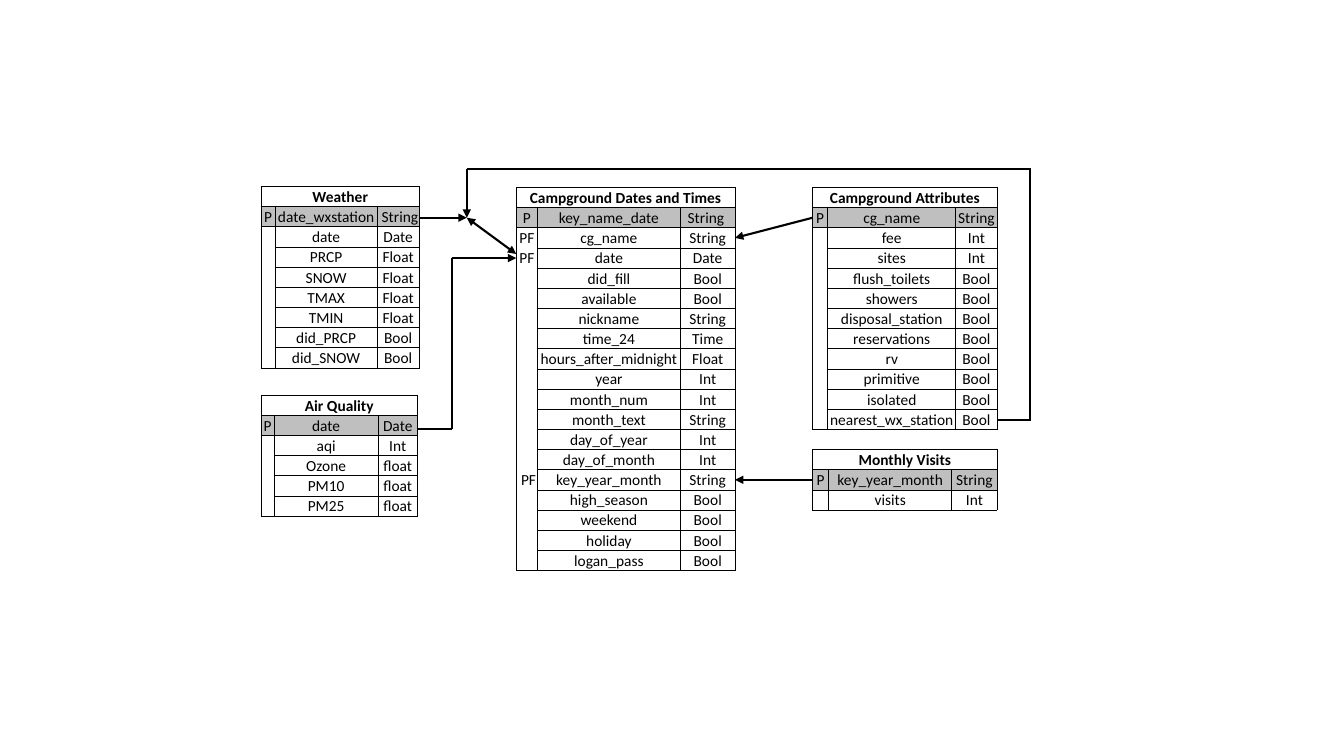
"""Build a slide with the table diagram of a campground database."""
from lxml.etree import SubElement
from pptx import Presentation
from pptx.dml.color import RGBColor
from pptx.enum.shapes import MSO_CONNECTOR
from pptx.enum.text import MSO_ANCHOR, PP_ALIGN
from pptx.oxml.ns import qn
from pptx.util import Emu, Pt

PX = 9144
ROW_HEIGHT = 20
FONT_SIZE = 11
BLACK = RGBColor(0x00, 0x00, 0x00)
GRAY = RGBColor(0xBF, 0xBF, 0xBF)
NO_STYLE = "{2D5ABB26-0587-4C30-8999-92F81FD0307C}"

KEY_LINKS = [
    (806, 476, 729, 476, ["tailEnd"]),
    (806, 216, 729, 236, ["tailEnd"]),
]
STATION_AND_DATE_LINKS = [
    (414, 426, 448, 426, []),
    (448, 426, 448, 256, []),
    (448, 256, 512, 256, ["tailEnd"]),
    (989, 417, 1023, 417, []),
    (1022, 416, 1022, 168, []),
    (463, 168, 1023, 168, []),
    (416, 216, 463, 216, ["tailEnd"]),
    (463, 168, 463, 216, ["tailEnd"]),
    (463, 216, 512, 252, ["headEnd", "tailEnd"]),
]

ENTITIES = [
    ("Monthly Visits", 806, 446, (16, 122, 45), MSO_ANCHOR.BOTTOM, {1: "P"}, [
        ("key_year_month", "String"), ("visits", "Int"),
    ]),
    ("Campground Dates and Times", 512, 186, (21, 142, 54), MSO_ANCHOR.MIDDLE,
     {1: "P", 2: "PF", 3: "PF", 14: " PF"}, [
        ("key_name_date", "String "), ("cg_name", "String"), ("date", "Date"),
        ("did_fill", "Bool"), ("available", "Bool"), ("nickname", "String"),
        ("time_24", "Time"), ("hours_after_midnight", "Float"), ("year", "Int"),
        ("month_num", "Int"), ("month_text", "String"), ("day_of_year", "Int"),
        ("day_of_month", "Int"), ("key_year_month", "String"),
        ("high_season", "Bool"), ("weekend", "Bool"), ("holiday", "Bool"),
        ("logan_pass", "Bool"),
    ]),
    ("Weather", 259, 185, (14, 101, 42), MSO_ANCHOR.BOTTOM, {1: "P"}, [
        ("date_wxstation", " String"), ("date", "Date"), ("PRCP", "Float"),
        ("SNOW", "Float"), ("TMAX", "Float"), ("TMIN", "Float"),
        ("did_PRCP", "Bool"), ("did_SNOW", "Bool"),
    ]),
    ("Air Quality", 259, 392, (13, 103, 39), MSO_ANCHOR.BOTTOM, {1: "P"}, [
        ("date", "Date"), ("aqi", "Int"), ("Ozone", "float"),
        ("PM10", "float"), ("PM25", "float"),
    ]),
    ("Campground Attributes", 806, 186, (15, 127, 41), MSO_ANCHOR.BOTTOM, {1: "P"}, [
        ("cg_name", "String"), ("fee", "Int"), ("sites", "Int"),
        ("flush_toilets", "Bool"), ("showers", "Bool"),
        ("disposal_station", "Bool"), ("reservations", "Bool"), ("rv", "Bool"),
        ("primitive", "Bool"), ("isolated", "Bool"), ("nearest_wx_station", "Bool"),
    ]),
]


def write_cell(text, *, cell, bold=False, fill=None, anchor=MSO_ANCHOR.BOTTOM, sides="LRTB"):
    """Write and format one cell, with borders on the given sides."""
    cell.margin_left = cell.margin_right = cell.margin_top = cell.margin_bottom = 0
    cell.vertical_anchor = anchor
    paragraph = cell.text_frame.paragraphs[0]
    paragraph.alignment = PP_ALIGN.CENTER
    if text:
        run = paragraph.add_run()
        run.text = text
        run.font.name = "Calibri"
        run.font.size = Pt(FONT_SIZE)
        run.font.bold = bold
        run.font.color.rgb = BLACK
    SubElement(paragraph._p, qn("a:endParaRPr"), sz=str(FONT_SIZE * 100))
    properties = cell._tc.get_or_add_tcPr()
    for side in "LRTB":
        border = SubElement(properties, qn(f"a:ln{side}"), w=str(Pt(0.5)))
        if side in sides:
            color = SubElement(border, qn("a:solidFill"))
            SubElement(color, qn("a:srgbClr"), val=str(BLACK))
        else:
            SubElement(border, qn("a:noFill"))
    if fill is None:
        cell.fill.background()
    else:
        cell.fill.solid()
        cell.fill.fore_color.rgb = fill


def add_links(shapes, links):
    """Draw straight links with the listed arrowheads."""
    for *ends, arrowheads in links:
        connector = shapes.add_connector(
            MSO_CONNECTOR.STRAIGHT, *[Emu(length * PX) for length in ends])
        connector.line.color.rgb = BLACK
        connector.line.width = Pt(1.5)
        properties = connector._element.spPr
        line = properties.find(qn("a:ln"))
        for arrowhead in arrowheads:
            SubElement(line, qn(f"a:{arrowhead}"), type="triangle")
        SubElement(properties, qn("a:effectLst"))


presentation = Presentation()
presentation.slide_width = Emu(1333 * PX)
presentation.slide_height = Emu(750 * PX)
slide = presentation.slides.add_slide(presentation.slide_layouts[6])

add_links(slide.shapes, KEY_LINKS)

for title, left, top, widths, key_anchor, keys, fields in ENTITIES:
    row_count = len(fields) + 1
    frame = slide.shapes.add_table(
        row_count, 3, Emu(left * PX), Emu(top * PX),
        Emu(sum(widths) * PX), Emu(row_count * ROW_HEIGHT * PX))
    table = frame.table
    table.first_row = table.horz_banding = False
    table._tbl.tblPr.find(qn("a:tableStyleId")).text = NO_STYLE
    for column, width in zip(table.columns, widths):
        column.width = Emu(width * PX)
    for row in table.rows:
        row.height = Emu(ROW_HEIGHT * PX)

    table.cell(0, 0).merge(table.cell(0, 2))
    for column_index, text in enumerate((title, "", "")):
        write_cell(text, cell=table.cell(0, column_index), bold=True)
    for row_index, (field, data_type) in enumerate(fields, start=1):
        fill = GRAY if row_index == 1 else None
        key_sides = "LR"
        if row_index <= 2:
            key_sides += "T"
        if row_index in (1, len(fields)):
            key_sides += "B"
        write_cell(keys.get(row_index, ""), cell=table.cell(row_index, 0),
                   fill=fill, anchor=key_anchor, sides=key_sides)
        write_cell(field, cell=table.cell(row_index, 1), fill=fill)
        write_cell(data_type, cell=table.cell(row_index, 2), fill=fill)

add_links(slide.shapes, STATION_AND_DATE_LINKS)

presentation.save("out.pptx")
